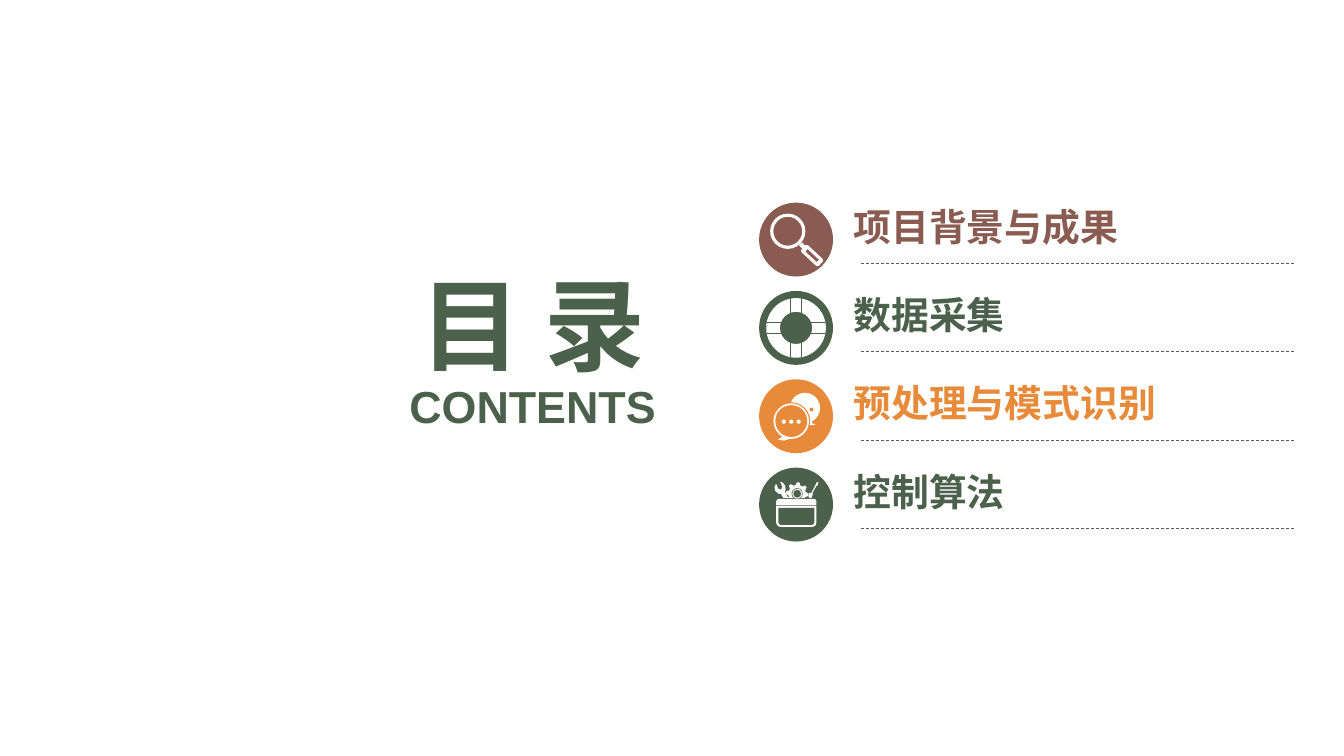
import math

from lxml import etree
from pptx import Presentation
from pptx.dml.color import RGBColor
from pptx.enum.dml import MSO_LINE
from pptx.enum.shapes import MSO_CONNECTOR, MSO_SHAPE
from pptx.enum.text import MSO_ANCHOR, MSO_AUTO_SIZE, PP_ALIGN
from pptx.oxml.ns import qn
from pptx.util import Pt

BROWN = RGBColor(0x8A, 0x5C, 0x51)
GREEN = RGBColor(0x4B, 0x61, 0x4C)
ORANGE = RGBColor(0xE7, 0x8B, 0x3B)
GRAY = RGBColor(0x59, 0x59, 0x59)
WHITE = RGBColor(0xFF, 0xFF, 0xFF)
OVAL = MSO_SHAPE.OVAL
DONUT = MSO_SHAPE.DONUT
RECTANGLE = MSO_SHAPE.RECTANGLE
ROUNDED = MSO_SHAPE.ROUNDED_RECTANGLE
ROUND_TOP = MSO_SHAPE.ROUND_2_SAME_RECTANGLE
STRAIGHT = MSO_CONNECTOR.STRAIGHT
DASH = MSO_LINE.DASH
SOLID = MSO_LINE.SOLID
TOP = MSO_ANCHOR.TOP
NO_FIT = MSO_AUTO_SIZE.NONE
CENTER = PP_ALIGN.CENTER
LEFT = PP_ALIGN.LEFT
CJK_FONT = "Noto Sans CJK SC"

ICON_SIZE = 52.8
ROW_PITCH = 63.1
WRENCH_HEAD = [(15.1, 10.1), (16.6, 13.7), (15.8, 15.8), (13.7, 15.1),
               (12.2, 11.5), (11, 14), (11.5, 16.6), (14, 18.7),
               (17.3, 18.7), (19, 16), (18.7, 13), (17, 10.8)]
WRENCH_HANDLE = [(20.9, 21.6), (18, 16.6), (15.1, 18), (17.3, 21.6)]
SCREWDRIVER = [(42.3, 10.4), (41.4, 10.2), (40, 13), (37.4, 18),
               (36, 18), (35.3, 20.5), (36, 21.6), (37.4, 21.6),
               (38.4, 19), (38.2, 18), (41, 13), (42, 12.6)]
BACK_TAIL = [(36, 28), (39, 28), (37.4, 31), (40.3, 32.4), (36, 33.1)]
FRONT_TAIL = [(17, 39), (16.6, 41), (13.7, 43.2), (18, 43.8), (23, 42.3)]


def paint(shape, color):
    """Give a shape a flat fill without line or shadow."""
    shape.shadow.inherit = False
    shape.fill.solid()
    shape.fill.fore_color.rgb = color
    shape.line.fill.background()


def add_part(page, origin, kind, box, color, adjust=None, turn=0):
    """Add a preset shape at a box measured from the origin."""
    left, top, width, height = box
    shape = page.shapes.add_shape(kind, Pt(origin[0] + left), Pt(origin[1] + top),
                                  Pt(width), Pt(height))
    paint(shape, color)
    shape.rotation = turn
    if adjust is not None:
        shape.adjustments[0] = adjust


def add_disc(page, origin, center, radius, color):
    """Add a filled circle around a centre."""
    box = (center[0] - radius, center[1] - radius, 2 * radius, 2 * radius)
    add_part(page, origin, OVAL, box, color)


def add_outline(page, origin, points, color):
    """Add a closed polygon measured from the origin."""
    places = [(Pt(origin[0] + x), Pt(origin[1] + y)) for x, y in points]
    builder = page.shapes.build_freeform(*places[0])
    builder.add_line_segments(places[1:], close=True)
    paint(builder.convert_to_shape(), color)


def add_rule(page, start, end, color, width, dash):
    """Add a straight line between two points."""
    rule = page.shapes.add_connector(STRAIGHT, *(Pt(n) for n in (*start, *end)))
    etree.SubElement(rule._element.spPr, qn("a:effectLst"))
    rule.line.color.rgb = color
    rule.line.width = Pt(width)
    rule.line.dash_style = dash


def write_line(para, text, size, font_name, color, align):
    """Write one bold line of text into a paragraph."""
    para.alignment = align
    para.line_spacing = 0.9
    span = para.add_run()
    span.text = text
    look = {"size": Pt(size), "name": font_name, "bold": True}
    for key, value in look.items():
        setattr(span.font, key, value)
    span.font.color.rgb = color
    east_asian = etree.SubElement(span.font._element, qn("a:ea"))
    east_asian.set("typeface", CJK_FONT)


def draw_magnifier(page, origin, color):
    """Draw a magnifying glass."""
    add_part(page, origin, DONUT, (7.9, 7.9, 25.2, 25.2), WHITE, 0.09)
    add_part(page, origin, RECTANGLE, (29, 29.5, 4, 3), WHITE, turn=45)
    add_part(page, origin, ROUNDED, (29.4, 34.5, 17, 6.8), WHITE, 0.25, 43)
    add_part(page, origin, RECTANGLE, (32.4, 36.8, 11, 2.2), color, turn=43)


def draw_wheel(page, origin, color):
    """Draw a steering wheel with four spokes."""
    add_part(page, origin, DONUT, (5.1, 5.1, 42.6, 42.6), WHITE, 0.23)
    middle = ICON_SIZE / 2
    x, y = origin[0] + middle, origin[1] + middle
    for offset in (-4, 4):
        add_rule(page, (x + offset, y - 21), (x + offset, y + 21), color, 0.75, SOLID)
        add_rule(page, (x - 21, y + offset), (x + 21, y + offset), color, 0.75, SOLID)


def draw_bubbles(page, origin, color):
    """Draw two speech bubbles, one over the other."""
    add_disc(page, origin, (32.8, 20.5), 10.8, WHITE)
    add_outline(page, origin, BACK_TAIL, WHITE)
    add_disc(page, origin, (37.4, 21.6), 1.4, color)
    front = (23, 29.9)
    add_disc(page, origin, front, 13.5, color)
    add_disc(page, origin, front, 12.7, WHITE)
    add_outline(page, origin, FRONT_TAIL, WHITE)
    add_disc(page, origin, front, 11.4, color)
    for step in (-1, 0, 1):
        add_disc(page, origin, (23 + 5.3 * step, 30.3), 1.5, WHITE)


def draw_toolbox(page, origin, color):
    """Draw a toolbox holding a wrench, a gear and a screwdriver."""
    for tool in (WRENCH_HEAD, WRENCH_HANDLE, SCREWDRIVER):
        add_outline(page, origin, tool, WHITE)
    gear = []
    for step in range(32):
        radius = 8.2 if step % 4 < 2 else 6.2
        angle = math.tau * step / 32
        gear.append((27.2 + radius * math.cos(angle),
                     min(18.7 + radius * math.sin(angle), 21.6)))
    add_outline(page, origin, gear, WHITE)
    for radius, shade in ((4, color), (3.5, WHITE), (2.7, color)):
        add_disc(page, origin, (27.2, 18.7), radius, shade)
    add_part(page, origin, ROUND_TOP, (12.2, 22.3, 28.8, 4.3), WHITE, 0.5)
    add_part(page, origin, ROUND_TOP, (12.2, 27.2, 28.8, 15.2), WHITE, 0.22, 180)
    add_part(page, origin, ROUND_TOP, (13.7, 28.7, 25.8, 12.2), color, 0.17, 180)


def add_heading(page, box):
    """Place the two-line heading in the title placeholder."""
    title = page.shapes.title
    title.left, title.top, title.width, title.height = (Pt(n) for n in box)
    frame = title.text_frame
    layout = {"word_wrap": False, "auto_size": NO_FIT, "vertical_anchor": TOP}
    for key, value in layout.items():
        setattr(frame, key, value)
    write_line(frame.paragraphs[0], "目 录", 72, CJK_FONT, GREEN, CENTER)
    write_line(frame.add_paragraph(), "CONTENTS", 32, "Arial", GREEN, CENTER)


def add_entry(page, origin, text, color, draw_icon):
    """Place one contents entry: icon, label and dashed rule."""
    left, top = origin
    add_part(page, origin, OVAL, (0, 0, ICON_SIZE, ICON_SIZE), color)
    draw_icon(page, origin, color)
    label = page.shapes.add_textbox(Pt(left + 60.4), Pt(top + 0.7), Pt(330), Pt(40))
    label.text_frame.word_wrap = True
    write_line(label.text_frame.paragraphs[0], text, 27, "Arial", color, LEFT)
    add_rule(page, (left + 72.8, top + 43.3), (left + 382.8, top + 43.3),
             GRAY, 0.5, DASH)


def main():
    """Build the contents slide and save it."""
    deck = Presentation()
    deck.slide_width, deck.slide_height = Pt(960), Pt(540)
    page = deck.slides.add_slide(deck.slide_layouts[5])
    add_heading(page, (284.4, 193.7, 192.2, 133.2))
    entries = [("项目背景与成果", BROWN, draw_magnifier),
               ("数据采集", GREEN, draw_wheel),
               ("预处理与模式识别", ORANGE, draw_bubbles),
               ("控制算法", GREEN, draw_toolbox)]
    for row, entry in enumerate(entries):
        add_entry(page, (542.2, 144.7 + row * ROW_PITCH), *entry)
    deck.save("out.pptx")


if __name__ == "__main__":
    main()
